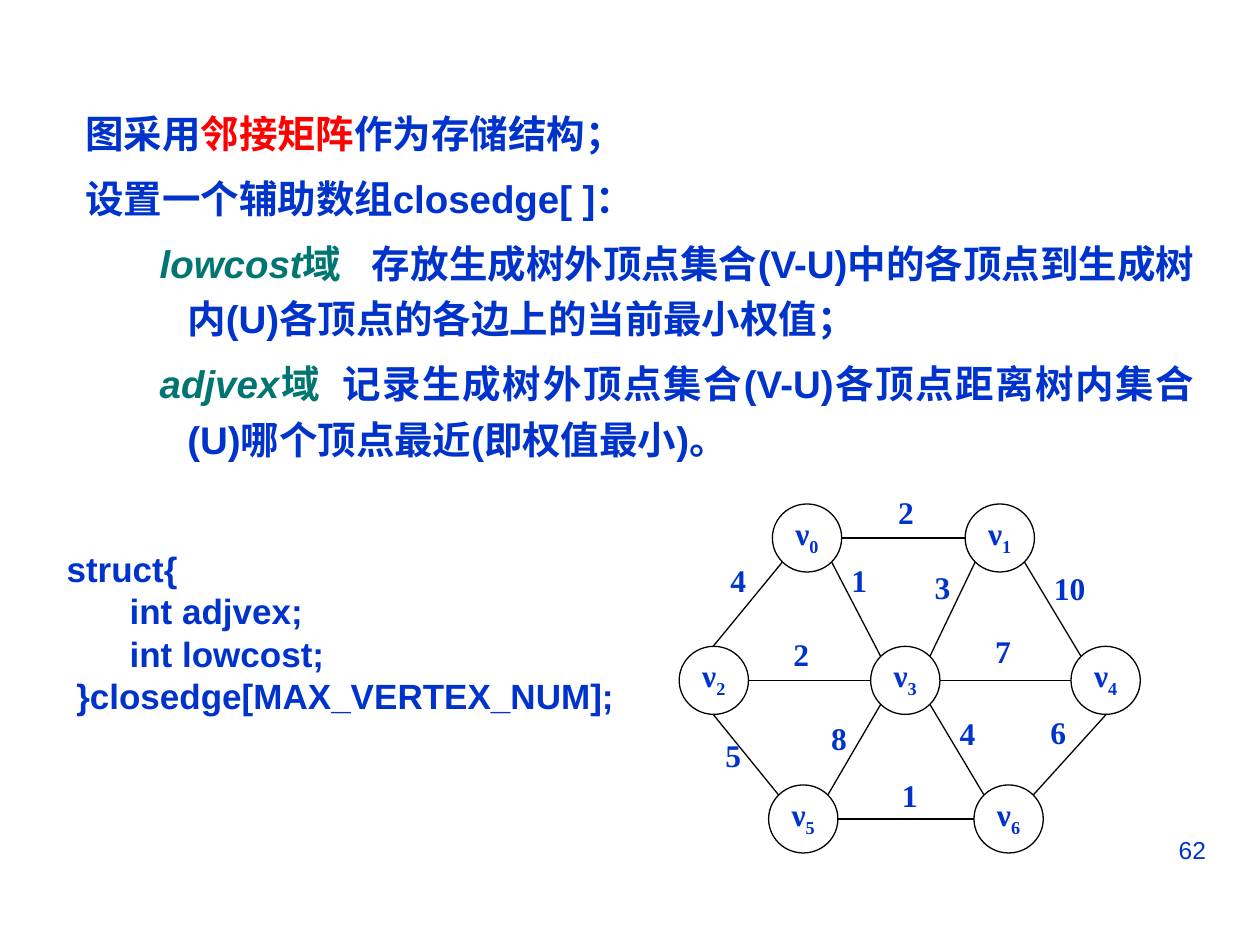
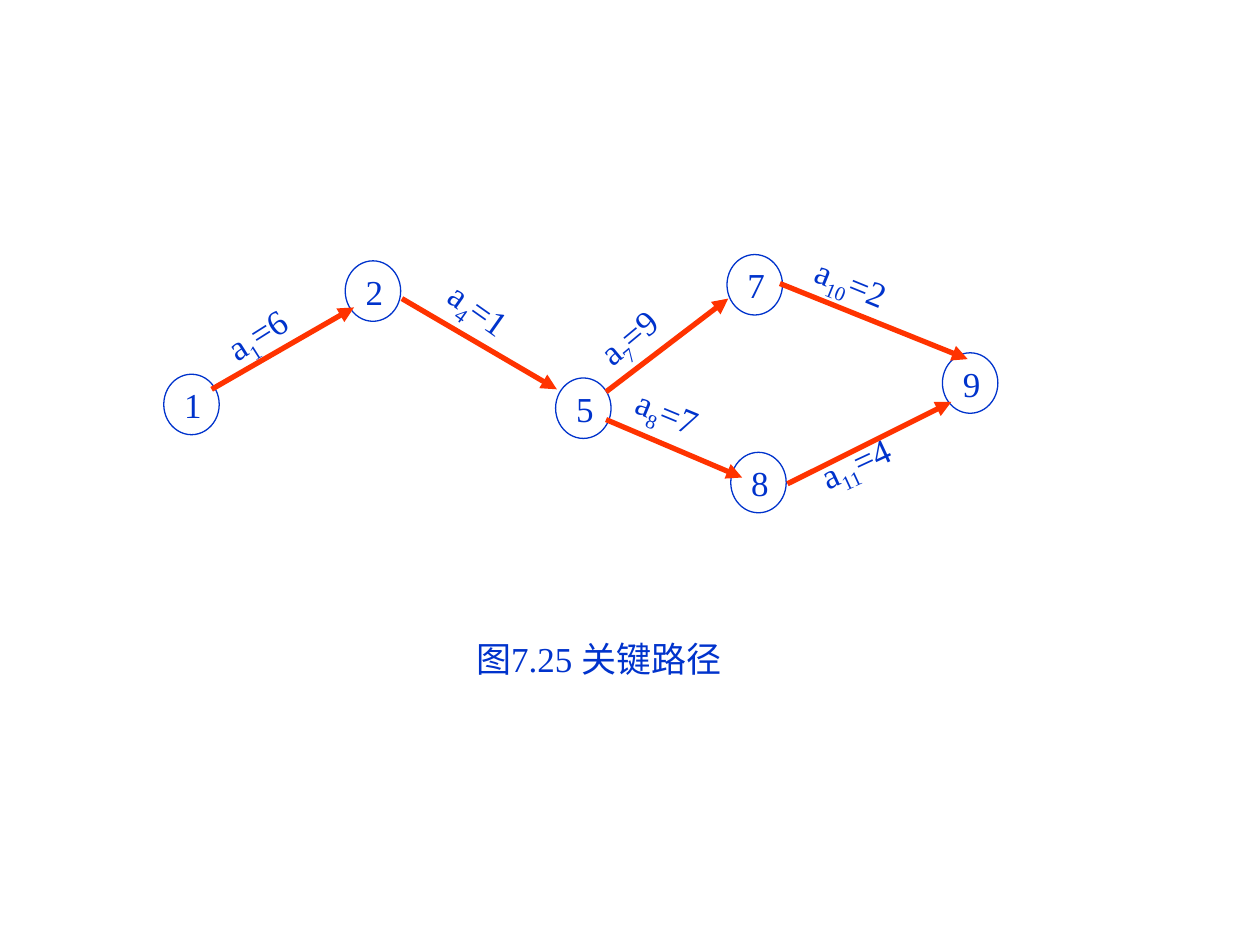
import math
import pptx
import pptx.dml.color
import pptx.enum.shapes
import pptx.enum.text
import pptx.oxml
import pptx.oxml.ns
import pptx.util

PX = 9144
COLORS = {"blue": "0033CC", "red": "FF0000", "green": "007572", "arrow": "FF3300", "black": "000000", "white": "FFFFFF"}
RGB = {name: pptx.dml.color.RGBColor.from_string(value) for name, value in COLORS.items()}
ALIGN = pptx.enum.text.PP_ALIGN
ANCHOR = pptx.enum.text.MSO_ANCHOR
OVAL = pptx.enum.shapes.MSO_SHAPE.OVAL
SUBSCRIPT = {"baseline": "-25000"}
NO_INSETS = {f"margin_{side}": 0 for side in ("left", "top", "right", "bottom")}
GROW = {"auto_size": pptx.enum.text.MSO_AUTO_SIZE.SHAPE_TO_FIT_TEXT}


def write_text(slide, box, paragraphs, font, frame_format={}, paragraph_format={}, outline=None, filled=False):
    lengths = [value * PX for value in box]
    if outline:
        shape = slide.shapes.add_shape(OVAL, *lengths)
        shape.shadow.inherit = False
        shape.line.color.rgb = RGB[outline]
        shape.line.width = pptx.util.Pt(0.75)
        if filled:
            shape.fill.solid()
            shape.fill.fore_color.rgb = RGB["white"]
        else:
            shape.fill.background()
    else:
        shape = slide.shapes.add_textbox(*lengths)
    frame = shape.text_frame
    for name, value in {"word_wrap": True, **frame_format}.items():
        setattr(frame, name, value)
    for index, runs in enumerate(paragraphs):
        paragraph = frame.add_paragraph() if index else frame.paragraphs[0]
        for name, value in {"alignment": ALIGN.LEFT, **paragraph_format}.items():
            setattr(paragraph, name, value)
        for text, changes in runs:
            run = paragraph.add_run()
            run.text = text
            values = {"color": "blue", **font, **changes}
            run.font.color.rgb = RGB[values.pop("color")]
            for name in ("baseline", "spc"):
                if name in values:
                    run.font._element.set(name, values.pop(name))
            for name, value in values.items():
                setattr(run.font, name, value)
    return shape


def draw_line(slide, points, color, width):
    line = slide.shapes.add_connector(pptx.enum.shapes.MSO_CONNECTOR.STRAIGHT, *[value * PX for value in points])
    line.line.color.rgb = RGB[color]
    line.line.width = pptx.util.Pt(width)
    properties = line._element.spPr
    properties.append(pptx.oxml.parse_xml(f'<a:effectLst {pptx.oxml.ns.nsdecls("a")}/>'))
    return line


presentation = pptx.Presentation()
presentation.slide_width = 1000 * PX
presentation.slide_height = 750 * PX
blank = presentation.slide_layouts[6]

slide = presentation.slides.add_slide(blank)
page_font = {"name": "Arial", "size": pptx.util.Pt(14)}
write_text(slide, (717, 658, 250, 52), [[("62", {})]], page_font, {}, {"alignment": ALIGN.RIGHT})

field = {"color": "green"}
field_name = {"color": "green", "italic": True}
storage_paragraphs = [
    [("图采用", {}), ("邻接矩阵", {"color": "red"}), ("作为存储结构；", {})],
    [("设置一个辅助数组closedge[ ]：", {})],
    [("lowcost", field_name), ("域", field), (" ", {"spc": "1220"}),
     ("存放生成树外顶点集合(V-U)中的各顶点到生成树内(U)各顶点的各边上的当前最小权值；", {})],
    [("adjvex", field_name), ("域", field), (" ", {"spc": "610"}),
     ("记录生成树外顶点集合(V-U)各顶点距离树内集合(U)哪个顶点最近(即权值最小)。", {})],
]
storage_font = {"name": "Arial", "size": pptx.util.Pt(22), "bold": True}
storage = write_text(slide, (58, 75, 900, 312), storage_paragraphs, storage_font, {},
                     {"alignment": ALIGN.JUSTIFY, "line_spacing": 1.2})
for index, paragraph in enumerate(storage.text_frame.paragraphs):
    if index:
        paragraph.space_before = pptx.util.Pt(5.5)
    margin, indent = (81, -22) if index > 1 else (38, -38)
    paragraph.level = 1 if index > 1 else 0
    properties = paragraph._p.get_or_add_pPr()
    properties.set("marL", str(margin * PX))
    properties.set("indent", str(indent * PX))

graph_font = {"name": "Times New Roman", "size": pptx.util.Pt(18), "bold": True}
centred = {"alignment": ALIGN.CENTER}
NODE_WIDTH, NODE_HEIGHT = 55, 54
vertices = [(613, 400), (766, 400), (539, 513), (691, 513), (850, 513), (610, 623), (773, 623)]
for index, (left, top) in enumerate(vertices):
    write_text(slide, (left, top, NODE_WIDTH, NODE_HEIGHT), [[("ν", {}), (str(index), SUBSCRIPT)]],
               graph_font, {**NO_INSETS, "vertical_anchor": ANCHOR.TOP}, centred, "black", True)

edges = [
    (0, 1, 0, 180, "2", 704, 391), (0, 2, 225, 90, "4", 571, 445),
    (0, 3, 315, 135, "1", 667, 445), (1, 3, 225, 45, "3", 733, 451),
    (1, 4, 315, 135, "10", 834, 452), (2, 3, 0, 180, "2", 621, 504),
    (3, 4, 0, 180, "7", 781, 502), (2, 5, 270, 135, "5", 567, 584),
    (3, 5, 225, 45, "8", 651, 571), (3, 6, 315, 135, "4", 753, 567),
    (4, 6, 270, 45, "6", 825, 566), (5, 6, 0, 180, "1", 707, 616),
]
for start, end, start_angle, end_angle, weight, label_left, label_top in edges:
    points = []
    for vertex, angle in ((start, start_angle), (end, end_angle)):
        left, top = vertices[vertex]
        points.append(round(left + NODE_WIDTH / 2 * (1 + math.cos(math.radians(angle)))))
        points.append(round(top + NODE_HEIGHT / 2 * (1 - math.sin(math.radians(angle)))))
    draw_line(slide, points, "black", 0.75)
    write_text(slide, (label_left, label_top, 30, 30), [[(weight, {})]], graph_font, {**NO_INSETS, **GROW}, centred)

code_lines = ["struct{", "\tint adjvex;", "\tint lowcost;", " }closedge[MAX_VERTEX_NUM];"]
code_font = {"name": "Arial", "size": pptx.util.Pt(20), "bold": True}
write_text(slide, (43, 430, 465, 144), [[(line, {})] for line in code_lines], code_font, GROW)

slide = presentation.slides.add_slide(blank)
path_font = {"name": "Times New Roman", "size": pptx.util.Pt(20)}
unwrapped = {"word_wrap": False}
write_text(slide, (368, 501, 234, 44), [[("图7.25 关键路径", {})]], path_font, {**unwrapped, **GROW})

events = [("9", 748, 280), ("8", 580, 359), ("7", 577, 202), ("5", 441, 300), ("2", 274, 207), ("1", 130, 297)]
for number, left, top in events:
    write_text(slide, (left, top, 44, 48), [[(number, {})]], path_font,
               {**unwrapped, "vertical_anchor": ANCHOR.MIDDLE}, {}, "blue")

activities = [
    ("1", "=6", (170, 243, 70, 48), 327.7, (168, 309, 281, 244)),
    ("4", "=1", (344, 223, 70, 48), 35.2, (319, 237, 442, 309)),
    ("7", "=9", (465, 245, 70, 48), 320.2, (481, 311, 578, 237)),
    ("8", "=7", (494, 305, 70, 48), 22.5, (481, 333, 589, 379)),
    ("10", "=2", (636, 202, 78, 48), 22.2, (619, 225, 768, 285)),
    ("11", "=4", (641, 345, 78, 48), 335.1, (625, 384, 755, 319)),
]
for number, duration, box, rotation, points in activities:
    label = write_text(slide, box, [[("a", {}), (number, SUBSCRIPT), (duration, {})]], path_font, {**unwrapped, **GROW})
    label.rotation = rotation
for number, duration, box, rotation, points in activities:
    arrow = draw_line(slide, points, "arrow", 3)
    arrow.line._get_or_add_ln().append(pptx.oxml.parse_xml(f'<a:tailEnd {pptx.oxml.ns.nsdecls("a")} type="triangle"/>'))

presentation.save("out.pptx")
